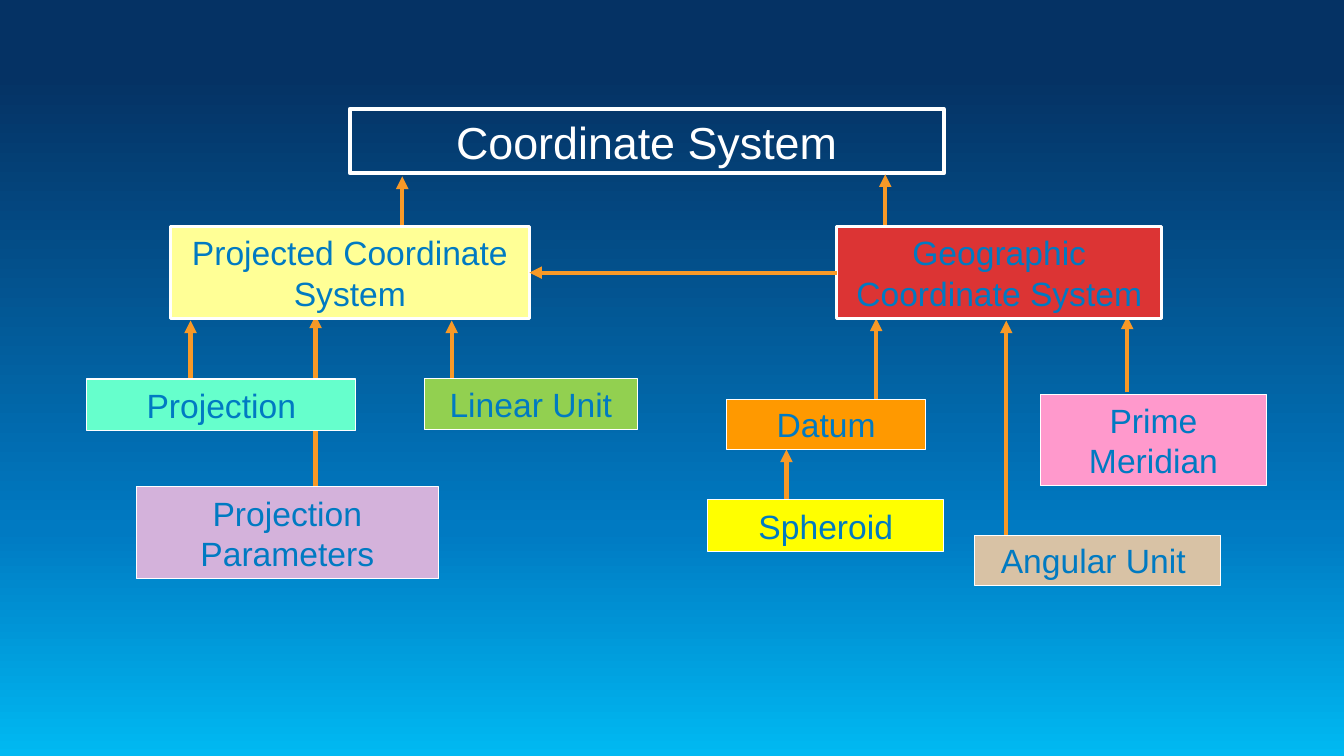
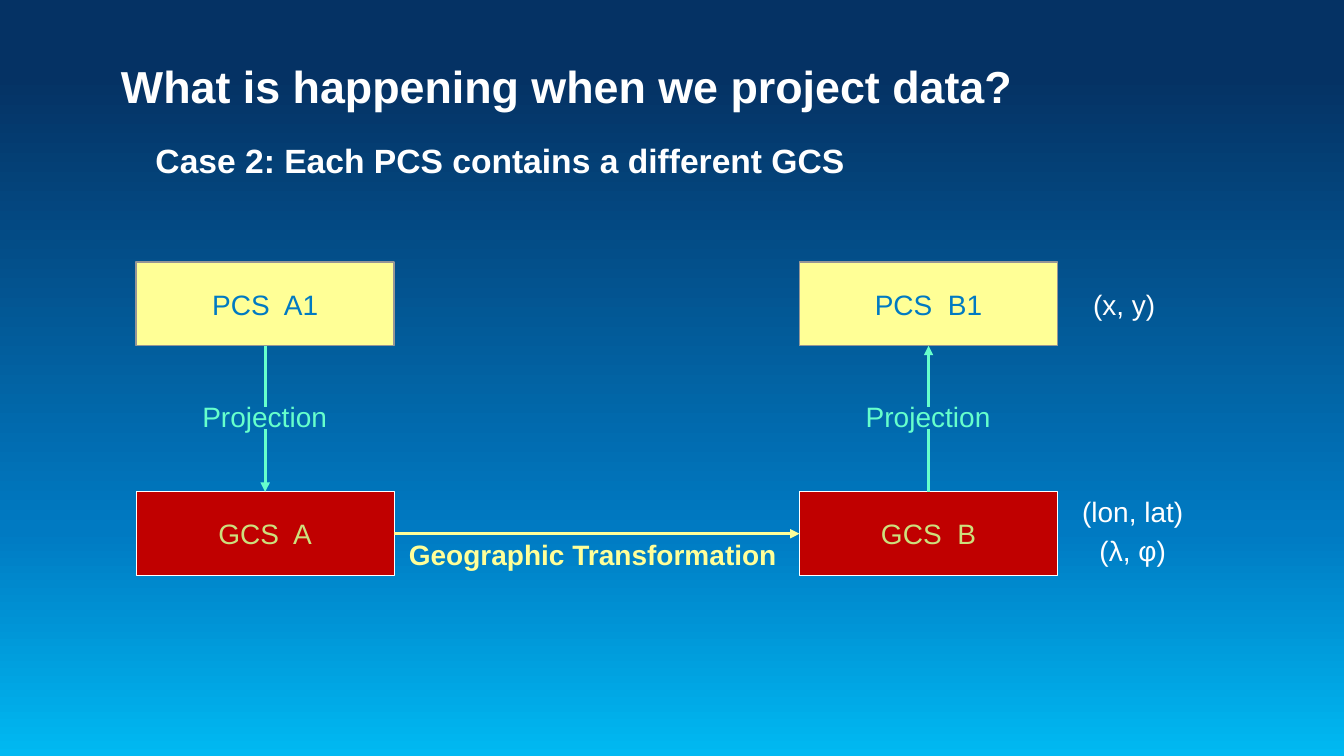
from copy import deepcopy
from dataclasses import dataclass
from typing import Any, Optional

from lxml import etree
from pptx import Presentation
from pptx import util as u
from pptx.dml.color import RGBColor
from pptx.enum import shapes, text
from pptx.oxml import ns

COLORS = {
    "sky": "00B9F2", "blue": "007AC2", "navy": "053264", "white": "FFFFFF",
    "arrow": "F89927", "datum": "FF9900", "spheroid": "FFFF00",
    "meridian": "FF99CC", "parameters": "D4B2DB", "mint": "66FFCC",
    "pcs": "FFFF96", "gcs": "DC3434", "angular": "D8C2A5",
    "linear": "92D050", "transform": "FFFF99", "crimson": "C00000",
    "lime": "CDE07D", "grey": "969696",
}
BACKGROUND = [("sky", 0), ("blue", 0.3), ("navy", 0.9)]
CENTER = text.PP_ALIGN.CENTER
TITLE = {"size": u.Pt(32), "bold": False}
HEADING = {"size": u.Pt(32), "bold": True}
SUBHEADING = {"size": u.Pt(24), "bold": True}
BOX = {"size": u.Pt(24)}
LABEL = {"size": u.Pt(20)}
BOLD_LABEL = {"size": u.Pt(20), "bold": True}


@dataclass
class Box:
    label: str
    left: float
    top: float
    width: float
    height: float
    fill: str
    line: str = "white"
    weight: float = 0.75
    color: str = "blue"


@dataclass
class Label:
    label: str
    left: float
    top: float
    width: float
    color: str = "white"


@dataclass
class Line:
    start: tuple[float, float]
    end: tuple[float, float]
    color: str
    weight: float
    arrow: bool = True


def rgb(name: str) -> RGBColor:
    return RGBColor.from_string(COLORS[name])


def apply(target: Any, values: dict) -> None:
    for key, value in values.items():
        setattr(target, key, value)


def place(sp: Any, left: float, top: float, width: float, height: float) -> None:
    apply(sp, {"left": u.Inches(left), "top": u.Inches(top),
               "width": u.Inches(width), "height": u.Inches(height)})


def write(sp: Any, label: str, color: str, font: dict, wrap: bool = True,
          align: Any = CENTER, anchor: Any = text.MSO_ANCHOR.MIDDLE) -> Any:
    tf = sp.text_frame
    apply(tf, {"word_wrap": wrap, "auto_size": text.MSO_AUTO_SIZE.NONE,
               "vertical_anchor": anchor})
    p = tf.paragraphs[0]
    apply(p, {"alignment": align, "space_before": u.Pt(0)})
    r = p.add_run()
    r.text = label
    apply(r.font, {"name": "Arial", **font})
    r.font.color.rgb = rgb(color)
    return p


def outline(sp: Any, color: str, weight: float) -> None:
    sp.line.color.rgb = rgb(color)
    sp.line.width = u.Pt(weight)


def add_box(s: Any, box: Box, font: dict) -> Any:
    sp = s.shapes.add_shape(shapes.MSO_SHAPE.RECTANGLE, 0, 0, 0, 0)
    place(sp, box.left, box.top, box.width, box.height)
    sp.shadow.inherit = False
    sp.fill.solid()
    sp.fill.fore_color.rgb = rgb(box.fill)
    outline(sp, box.line, box.weight)
    write(sp, box.label, box.color, font)
    return sp


def add_label(s: Any, item: Label, font: dict) -> None:
    sp = s.shapes.add_textbox(0, 0, 0, 0)
    place(sp, item.left, item.top, item.width, 0.44)
    write(sp, item.label, item.color, font, wrap=False, anchor=text.MSO_ANCHOR.TOP)


def add_line(s: Any, line: Line, begin: Optional[tuple] = None,
             end: Optional[tuple] = None) -> None:
    points = [u.Inches(v) for v in (*line.start, *line.end)]
    cxn = s.shapes.add_connector(shapes.MSO_CONNECTOR.STRAIGHT, *points)
    outline(cxn, line.color, line.weight)
    if line.arrow:
        etree.SubElement(cxn.line._get_or_add_ln(), ns.qn("a:tailEnd"), type="triangle")
    etree.SubElement(cxn._element.spPr, ns.qn("a:effectLst"))
    if begin:
        cxn.begin_connect(*begin)
    if end:
        cxn.end_connect(*end)


def set_background(master: Any) -> None:
    fill = master.background.fill
    fill.gradient()
    fill.gradient_angle = 90
    first = next(master.element.iter(ns.qn("a:gs")))
    first.addnext(deepcopy(first))
    for stop, (color, position) in zip(fill.gradient_stops, BACKGROUND):
        stop.color.rgb = rgb(color)
        stop.position = position


def build_hierarchy(prs: Any) -> None:
    s = prs.slides.add_slide(prs.slide_layouts[5])
    sp = s.shapes.title
    place(sp, 3.47, 1.08, 5.89, 0.64)
    outline(sp, "white", 2.75)
    write(sp, "Coordinate System", "white", TITLE)

    risers = [
        (3.99, 2.25, 1.75), (8.78, 2.23, 1.73), (11.18, 3.89, 3.14),
        (9.98, 5.35, 3.18), (7.8, 4.96, 4.46), (1.89, 3.76, 3.18),
        (4.48, 3.77, 3.18), (3.13, 4.82, 3.13), (8.69, 3.97, 3.16),
    ]
    for x, low, high in risers:
        add_line(s, Line((x, low), (x, high), "arrow", 3))

    parts = [
        Box("Datum", 7.21, 3.96, 1.97, 0.5, "datum"),
        Box("Spheroid", 7.02, 4.96, 2.34, 0.51, "spheroid"),
        Box("Prime Meridian", 10.32, 3.91, 2.24, 0.91, "meridian"),
        Box("Projection Parameters", 1.35, 4.83, 3, 0.91, "parameters"),
        Box("Projection", 0.86, 3.76, 2.67, 0.51, "mint"),
        Box("Angular Unit ", 9.67, 5.31, 2.44, 0.5, "angular"),
        Box("Linear Unit", 4.21, 3.76, 2.11, 0.5, "linear"),
    ]
    for box in parts:
        add_box(s, box, BOX)
    projected = add_box(s, Box("Projected Coordinate System", 1.69, 2.25, 3.56, 0.91,
                               "pcs", weight=2), BOX)
    geographic = add_box(s, Box("Geographic Coordinate System", 8.3, 2.25, 3.22, 0.91,
                                "gcs", weight=2), BOX)
    add_line(s, Line((8.3, 2.7), (5.25, 2.7), "arrow", 3), (geographic, 1), (projected, 3))


def build_projection_case(prs: Any) -> None:
    s = prs.slides.add_slide(prs.slide_layouts[1])
    sp = s.shapes.title
    place(sp, 1.1, 0.53, 10.29, 0.64)
    write(sp, "What is happening when we project data?", "white", HEADING,
          align=text.PP_ALIGN.LEFT)

    sp = s.placeholders[1]
    place(sp, 1.1, 1.54, 7.72, 0.72)
    apply(sp.text_frame, dict.fromkeys(
        ("margin_left", "margin_top", "margin_right", "margin_bottom"), 0))
    p = write(sp, "Case 2: Each PCS contains a different GCS", "white", SUBHEADING,
              anchor=text.MSO_ANCHOR.TOP)
    p.line_spacing = u.Pt(18)
    pPr = p._p.get_or_add_pPr()
    pPr.set("marL", "0")
    pPr.set("indent", "0")
    etree.SubElement(pPr, ns.qn("a:buNone"))

    width, height, pcs_top, gcs_top = 2.56, 0.83, 2.6, 4.88
    gcs_boxes = []
    for name, left, upward in (("A", 1.35, False), ("B", 7.93, True)):
        pcs = add_box(s, Box(f"PCS  {name}1", left, pcs_top, width, height,
                             "pcs", "grey", 1), LABEL)
        gcs = add_box(s, Box(f"GCS  {name}", left, gcs_top, width, height,
                             "crimson", color="lime"), LABEL)
        gcs_boxes.append(gcs)
        x = left + width / 2
        add_label(s, Label("Projection", x - 0.73, 3.91, 1.45, "mint"), LABEL)
        source, target = (pcs, 2), (gcs, 0)
        ends = [(pcs_top + height, 4.04), (4.26, gcs_top)]
        if upward:
            source, target = target, source
            ends = [(b, a) for a, b in reversed(ends)]
        (y1, y2), (y3, y4) = ends
        add_line(s, Line((x, y1), (x, y2), "mint", 2.25, False), begin=source)
        add_line(s, Line((x, y3), (x, y4), "mint", 2.25), end=target)

    add_line(s, Line((3.91, 5.29), (7.93, 5.29), "transform", 2.25),
             (gcs_boxes[0], 3), (gcs_boxes[1], 1))
    add_label(s, Label("Geographic Transformation", 3.94, 5.28, 3.88, "transform"),
              BOLD_LABEL)
    for item in (Label("(x, y)", 10.74, 2.8, 0.82),
                 Label("(lon, lat)", 10.63, 4.86, 1.21),
                 Label("(λ, φ)", 10.57, 5.24, 1.33)):
        add_label(s, item, LABEL)


def main() -> None:
    prs = Presentation()
    prs.slide_width, prs.slide_height = u.Inches(13.33), u.Inches(7.5)
    set_background(prs.slide_master)
    build_hierarchy(prs)
    build_projection_case(prs)
    prs.save("out.pptx")


if __name__ == "__main__":
    main()
